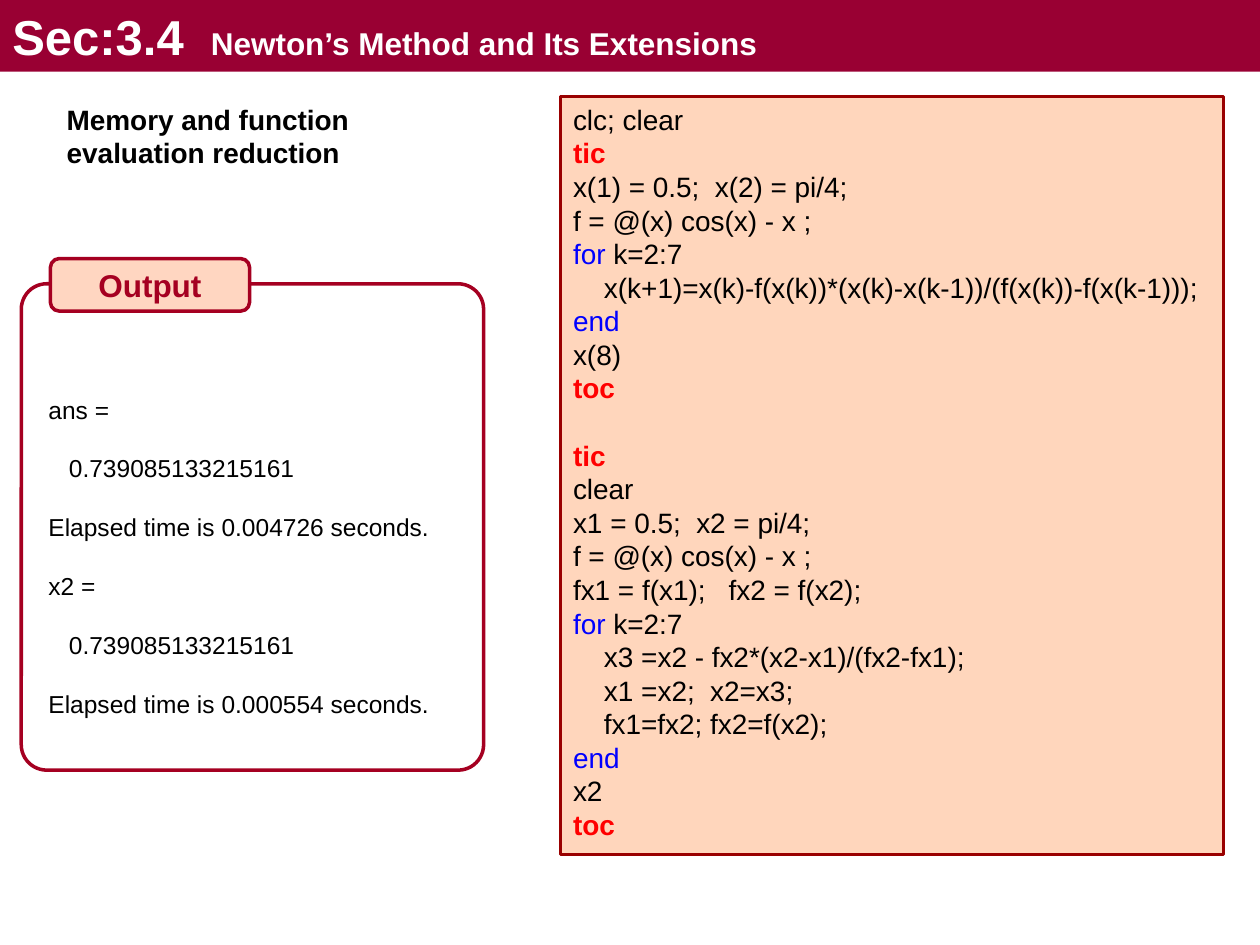
from lxml import etree
from pptx import Presentation
from pptx.dml.color import RGBColor
from pptx.enum.shapes import MSO_SHAPE
from pptx.enum.text import MSO_ANCHOR, PP_ALIGN
from pptx.oxml.ns import qn
from pptx.util import Pt

RECT, ROUND = MSO_SHAPE.RECTANGLE, MSO_SHAPE.ROUNDED_RECTANGLE
TOP, MIDDLE = MSO_ANCHOR.TOP, MSO_ANCHOR.MIDDLE
LEFT, CENTER = PP_ALIGN.LEFT, PP_ALIGN.CENTER

THEME = {
    "font": "Arial",
    "banner": "990033", "white": "FFFFFF", "text": "000000",
    "command": "FF0000", "keyword": "0000FF",
    "code_fill": "FF6A0A", "code_line": "990000",
    "frame": "A50021", "tab_fill": "FFD6C1",
    "section": 28, "title": 18, "body": 16, "output": 14,
}

# Content
SECTION, TITLE = "Sec:3.4", "Newton’s Method and Its Extensions"
HEADING = "Memory and function evaluation reduction"
OUTPUT_LABEL = "Output"
OUTPUT = [
    ("ans =", 0), ("0.739085133215161", 1),
    ("Elapsed time is 0.004726 seconds.", 0),
    ("x2 =", 0), ("0.739085133215161", 1),
    ("Elapsed time is 0.000554 seconds.", 0),
]
CODE_BLOCKS = [
    ["clc; clear", "tic", "x(1) = 0.5;  x(2) = pi/4;", "f = @(x) cos(x) - x ;",
     "for k=2:7",
     "    x(k+1)=x(k)-f(x(k))*(x(k)-x(k-1))/(f(x(k))-f(x(k-1)));",
     "end", "x(8)", "toc"],
    ["tic", "clear", "x1 = 0.5;  x2 = pi/4;", "f = @(x) cos(x) - x ;",
     "fx1 = f(x1);   fx2 = f(x2);", "for k=2:7",
     "    x3 =x2 - fx2*(x2-x1)/(fx2-fx1);", "    x1 =x2;  x2=x3;",
     "    fx1=fx2; fx2=f(x2);", "end", "x2", "toc"],
]
COMMANDS, KEYWORDS = ("tic", "toc"), ("for", "end")

# Places: left, top, width, height
BANNER = (0, 0, 720, 41)
CODE_BOX = (320.4, 54.9, 378.7, 433.4)
HEADING_BOX = (31, 54.9, 238.3, 46)
OUTPUT_BOX = (20.6, 221.9, 247, 193.7)
FRAME = (12.2, 162.2, 264.2, 277.9)
LABEL_BOX = (28.8, 147.8, 113.8, 30)
TITLE_TAB = 113.4
OUTPUT_INDENT = 11.7
LINE = 1.2  # line height as a multiple of the type size


def colour(name):
    return RGBColor.from_string(THEME[name])


def add_box(kind, place, fill=None, line=None, weight=2, radius=None):
    s = slide.shapes.add_shape(kind, *map(Pt, place))
    s.shadow.inherit = False
    if fill:
        s.fill.solid()
        s.fill.fore_color.rgb = colour(fill)
    else:
        s.fill.background()
    if line:
        s.line.color.rgb = colour(line)
        s.line.width = Pt(weight)
    else:
        s.line.fill.background()
    if radius:
        s.adjustments[0] = radius
    return s


def set_frame(s, anchor=TOP):
    tf = s.text_frame
    for name, value in {"word_wrap": True, "vertical_anchor": anchor}.items():
        setattr(tf, name, value)
    return tf


def add_text_box(place):
    return set_frame(slide.shapes.add_textbox(*map(Pt, place)))


def add_paragraph(tf, runs, first, align=LEFT, before=0):
    p = tf.paragraphs[0] if first else tf.add_paragraph()
    p.alignment = align
    if before and not first:
        p.space_before = Pt(before)
    for text, size, tint, bold in runs:
        r = p.add_run()
        r.text = text
        style = {"name": THEME["font"], "size": Pt(THEME[size]), "bold": bold}
        for name, value in style.items():
            setattr(r.font, name, value)
        r.font.color.rgb = colour(tint)
    return p


def code_runs(line):
    word, space, rest = line.partition(" ")
    if word in COMMANDS:
        return [(line, "body", "command", True)]
    if word in KEYWORDS:
        runs = [(word, "body", "keyword", False)]
        return runs + [(space + rest, "body", "text", False)] if rest else runs
    return [(line, "body", "text", False)]


prs = Presentation()
prs.slide_width, prs.slide_height = Pt(720), Pt(540)
slide = prs.slides.add_slide(prs.slide_layouts[6])

# Banner, with a tab between section and title
tf = set_frame(add_box(RECT, BANNER, "banner"))
p = add_paragraph(tf, [(SECTION + "\t", "section", "white", True),
                       (TITLE, "title", "white", True)], True)
tabs = etree.SubElement(p._p.get_or_add_pPr(), qn("a:tabLst"))
etree.SubElement(tabs, qn("a:tab"), pos=str(Pt(TITLE_TAB)), algn="l")

# Code panel, tinted by transparency
s = add_box(RECT, CODE_BOX, "code_fill", "code_line", 1.75)
tint = s._element.spPr.find(qn("a:solidFill"))[0]
etree.SubElement(tint, qn("a:alpha"), val="27000")
tf = set_frame(s)
for b, block in enumerate(CODE_BLOCKS):
    for i, line in enumerate(block):
        gap = THEME["body"] * LINE if i == 0 else 0
        add_paragraph(tf, code_runs(line), b == i == 0, before=gap)

# Heading
add_paragraph(add_text_box(HEADING_BOX), [(HEADING, "body", "text", True)], True)

# Program output
tf = add_text_box(OUTPUT_BOX)
for i, (line, level) in enumerate(OUTPUT):
    p = add_paragraph(tf, [(line, "output", "text", False)], i == 0,
                      before=THEME["output"] * LINE)
    p._p.get_or_add_pPr().set("marL", str(Pt(OUTPUT_INDENT * level)))

# Output frame and its label
add_box(ROUND, FRAME, line="frame", radius=0.055)
tf = set_frame(add_box(ROUND, LABEL_BOX, "tab_fill", "frame", radius=0.167), MIDDLE)
add_paragraph(tf, [(OUTPUT_LABEL, "title", "frame", True)], True, CENTER)

prs.save("out.pptx")
